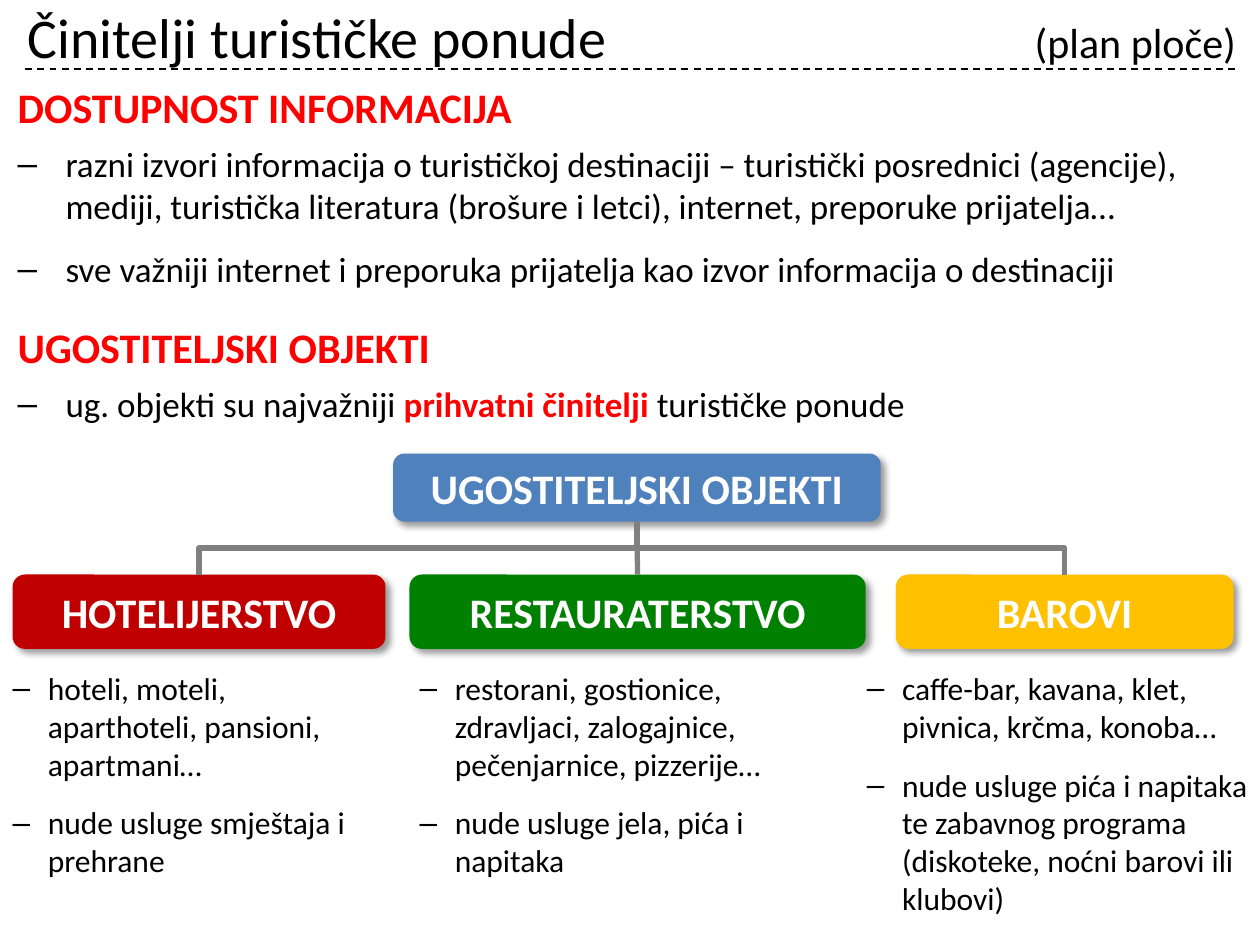
from lxml import etree
from pptx import Presentation
from pptx.dml.color import RGBColor
from pptx.enum.dml import MSO_LINE
from pptx.enum.shapes import MSO_CONNECTOR, MSO_SHAPE
from pptx.enum.text import MSO_ANCHOR, MSO_AUTO_SIZE, PP_ALIGN
from pptx.oxml.ns import qn
from pptx.util import Inches, Pt

STRAIGHT, ELBOW = MSO_CONNECTOR.STRAIGHT, MSO_CONNECTOR.ELBOW
ROUNDED = MSO_SHAPE.ROUNDED_RECTANGLE
MIDDLE = MSO_ANCHOR.MIDDLE
LEFT, CENTER = PP_ALIGN.LEFT, PP_ALIGN.CENTER
NO_AUTOFIT = MSO_AUTO_SIZE.NONE
DASH = MSO_LINE.DASH
BOTTOM_SIDE, TOP_SIDE = 2, 0

COLORS = {
    "text": "000000", "key": "FF0000", "white": "FFFFFF", "branch": "808080",
    "root": "4F81BD", "hotels": "C00000", "restaurants": "008000", "bars": "FFC000",
}


def add_run(paragraph, text, size, color="text", bold=False):
    run = paragraph.add_run()
    run.text = text
    run.font.name = "Calibri"
    run.font.size = Pt(size)
    run.font.bold = bold
    run.font.color.rgb = RGBColor.from_string(COLORS[color])


def format_paragraph(paragraph, space_before, indent=0):
    """Set the space above and, with an indent, a hanging dash bullet."""
    paragraph.alignment = LEFT
    paragraph.space_before = Pt(space_before)
    props = paragraph._p.get_or_add_pPr()
    props.set("marL", str(Inches(indent)))
    props.set("indent", str(-Inches(indent)))
    if indent:
        etree.SubElement(props, qn("a:buFont"), typeface="Arial")
        etree.SubElement(props, qn("a:buChar"), char="–")
    else:
        etree.SubElement(props, qn("a:buNone"))


prs = Presentation()
prs.slide_width, prs.slide_height = Inches(10), Inches(7.5)
slide = prs.slides.add_slide(prs.slide_layouts[1])
shapes = slide.shapes

# Title, with the note pushed to the right edge by a tab stop
title = shapes.title
title.left, title.top = Inches(0.12), Inches(-0.06)
title.width, title.height = Inches(9.84), Inches(0.7)
title.text_frame.auto_size = NO_AUTOFIT
title.text_frame.vertical_anchor = MIDDLE
heading = title.text_frame.paragraphs[0]
heading.alignment = LEFT
tabs = etree.SubElement(heading._p.get_or_add_pPr(), qn("a:tabLst"))
etree.SubElement(tabs, qn("a:tab"), pos=str(Inches(9.59)), algn="r")
add_run(heading, "Činitelji turističke ponude", 32)
add_run(heading, "\t(plan ploče)", 24)

title_rule = shapes.add_connector(
    STRAIGHT, Inches(0.2), Inches(0.55), Inches(9.8), Inches(0.55))
title_rule.line.color.rgb = RGBColor.from_string(COLORS["text"])
title_rule.line.width = Pt(1)
title_rule.line.dash_style = DASH
etree.SubElement(title_rule._element.spPr, qn("a:effectLst"))

# Body: (space before, indent, runs)
body_lines = [
    (24, 0, [("DOSTUPNOST INFORMACIJA", 24, "key", True)]),
    (6, 0.38, [("razni izvori informacija o turističkoj destinaciji – turistički "
                "posrednici (agencije), mediji, turistička literatura (brošure i "
                "letci), internet, preporuke prijatelja…", 20)]),
    (12, 0.38, [("sve važniji internet i preporuka prijatelja kao izvor "
                 "informacija o destinaciji", 20)]),
    (18, 0, [("UGOSTITELJSKI OBJEKTI", 24, "key", True)]),
    (6, 0.38, [("ug. objekti su najvažniji ", 20),
               ("prihvatni činitelji ", 20, "key", True),
               ("turističke ponude", 20)]),
]
body = slide.placeholders[1]
body.left, body.top = Inches(0.04), Inches(0.6)
body.width, body.height = Inches(10), Inches(6.9)
body.text_frame.auto_size = NO_AUTOFIT
for i, (space, indent, runs) in enumerate(body_lines):
    frame = body.text_frame
    line = frame.add_paragraph() if i else frame.paragraphs[0]
    format_paragraph(line, space, indent)
    for run in runs:
        add_run(line, *run)

# Boxes of the tree; the first one is the root
boxes = []
for label, color, left, top, width, height in [
    ("UGOSTITELJSKI OBJEKTI", "root", 3.12, 3.6, 3.87, 0.54),
    ("HOTELIJERSTVO", "hotels", 0.1, 4.56, 2.96, 0.59),
    ("RESTAURATERSTVO", "restaurants", 3.25, 4.56, 3.62, 0.59),
    ("BAROVI", "bars", 7.11, 4.56, 2.68, 0.59),
]:
    box = shapes.add_shape(
        ROUNDED, Inches(left), Inches(top), Inches(width), Inches(height))
    box.fill.solid()
    box.fill.fore_color.rgb = RGBColor.from_string(COLORS[color])
    box.line.fill.background()
    box.shadow.inherit = False
    shadow = etree.SubElement(
        box._element.spPr.find(qn("a:effectLst")), qn("a:outerShdw"),
        blurRad=str(Pt(4)), dist=str(Pt(3)), dir=str(45 * 60000),
        algn="tl", rotWithShape="0")
    shade = etree.SubElement(shadow, qn("a:srgbClr"), val=COLORS["text"])
    etree.SubElement(shade, qn("a:alpha"), val="40000")
    box.text_frame.vertical_anchor = MIDDLE
    caption = box.text_frame.paragraphs[0]
    caption.alignment = CENTER
    add_run(caption, label, 24, "white", True)
    boxes.append(box)

# Branches; an elbow is turned a quarter so that it leaves the root downwards
root, *groups = boxes
for group, kind, turn, flip in zip(
        groups, (ELBOW, STRAIGHT, ELBOW), (90, 0, 270), ("0", "0", "1")):
    branch = shapes.add_connector(kind, 0, 0, 0, 0)
    branch.begin_connect(root, BOTTOM_SIDE)
    branch.end_connect(group, TOP_SIDE)
    branch.line.color.rgb = RGBColor.from_string(COLORS["branch"])
    branch.line.width = Pt(3)
    etree.SubElement(branch._element.spPr, qn("a:effectLst"))
    if turn:
        across, down = branch.width, branch.height
        branch.left += (across - down) // 2
        branch.top += (down - across) // 2
        branch.width, branch.height = down, across
        placement = branch._element.spPr.find(qn("a:xfrm"))
        placement.set("rot", str(turn * 60000))
        placement.set("flipH", flip)

# Notes under each group
for left, width, height, notes in [
    (0.1, 2.9, 1.68, ["hoteli, moteli, aparthoteli, pansioni, apartmani…",
                      "nude usluge smještaja i prehrane"]),
    (3.33, 3.31, 1.68, ["restorani, gostionice, zdravljaci, zalogajnice, "
                        "pečenjarnice, pizzerije…",
                        "nude usluge jela, pića i napitaka"]),
    (6.88, 3.12, 1.99, ["caffe-bar, kavana, klet, pivnica, krčma, konoba…",
                        "nude usluge pića i napitaka te zabavnog programa "
                        "(diskoteke, noćni barovi ili klubovi)"]),
]:
    frame = shapes.add_textbox(
        Inches(left), Inches(5.31), Inches(width), Inches(height)).text_frame
    frame.word_wrap = True
    frame.margin_left = frame.margin_right = 0
    frame.margin_top = frame.margin_bottom = 0
    for i, note in enumerate(notes):
        line = frame.add_paragraph() if i else frame.paragraphs[0]
        format_paragraph(line, 12 if i else 6, 0.28)
        add_run(line, note, 18)

prs.save("out.pptx")
